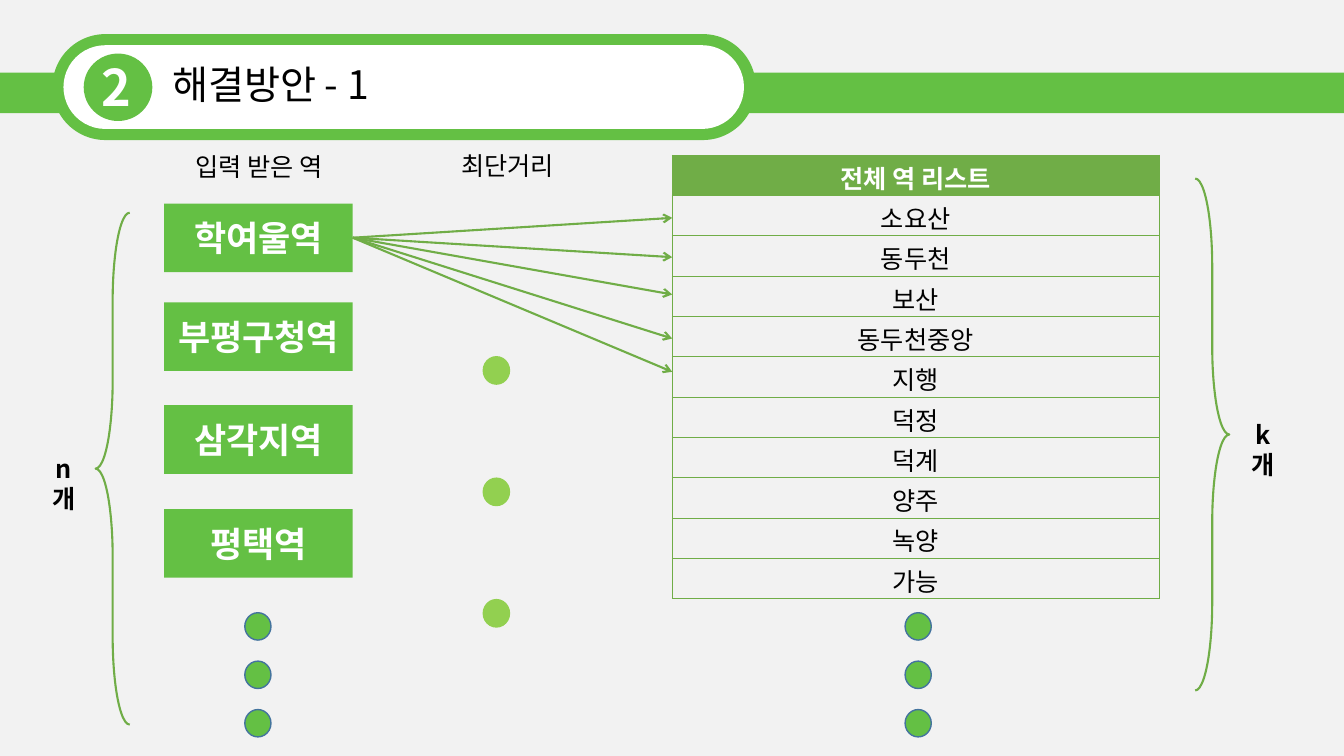
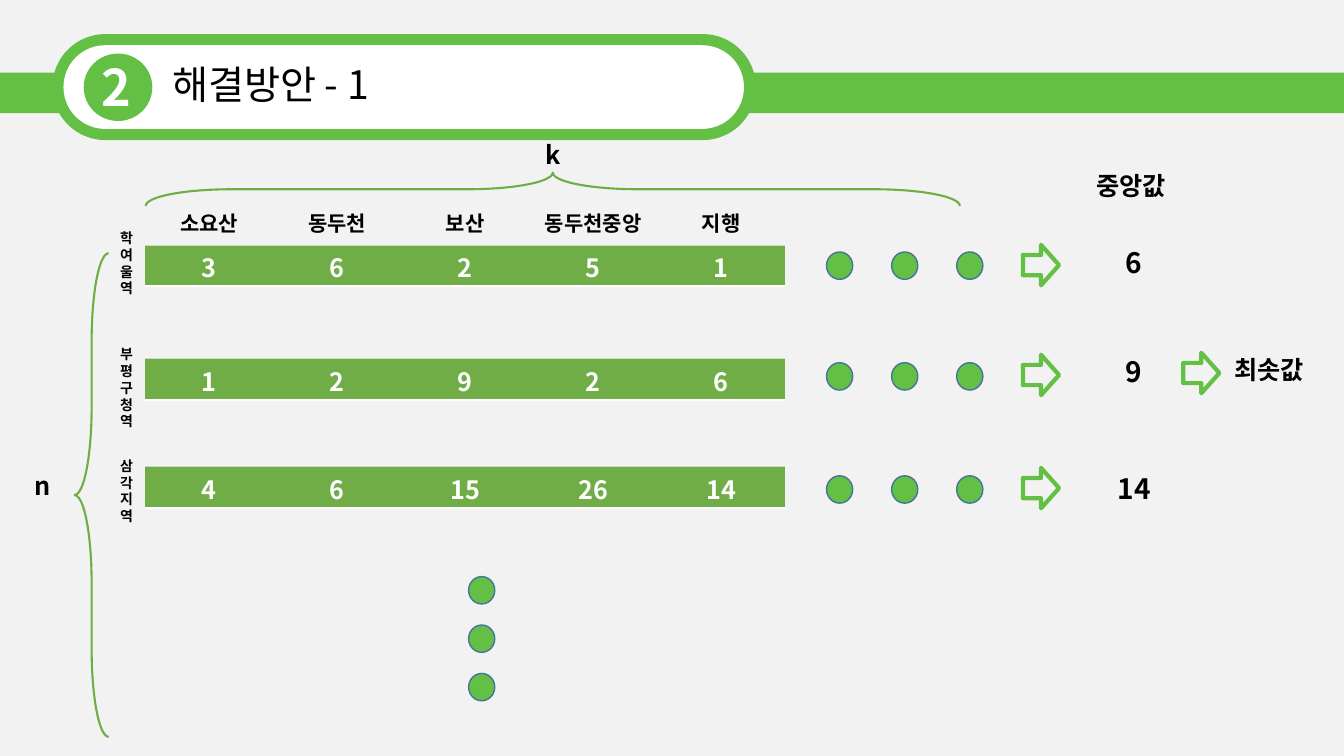
from dataclasses import dataclass

from lxml.etree import SubElement
from pptx import Presentation
from pptx.dml.color import RGBColor as Color
from pptx.enum.shapes import MSO_CONNECTOR as Connector, MSO_SHAPE as Shape
from pptx.enum.text import MSO_ANCHOR as Anchor, PP_ALIGN as Align
from pptx.oxml.ns import qn
from pptx.util import Cm, Pt


@dataclass(frozen=True)
class Theme:
    font: str = "Noto Sans CJK KR"
    page: Color = Color.from_string("F2F2F2")
    green: Color = Color.from_string("64C044")
    leaf: Color = Color.from_string("70AD47")
    lime: Color = Color.from_string("92D050")
    mist: Color = Color.from_string("C9DBC1")
    blue: Color = Color.from_string("43739E")
    white: Color = Color.from_string("FFFFFF")
    black: Color = Color.from_string("000000")
    number: int = 36
    title: int = 28
    station: int = 25
    value: int = 20
    body: int = 18
    heading: int = 15
    small: int = 10
    leading: float = 1.2


theme = Theme()


def write(frame, text, size, color=theme.black, bold=True, align=Align.CENTER):
    frame.word_wrap = True
    for index, line in enumerate(text.split("\n")):
        para = frame.add_paragraph() if index else frame.paragraphs[0]
        para.alignment = align
        para.line_spacing = Pt(size * theme.leading)
        span = para.add_run()
        span.text = line
        for name, value in {"name": theme.font, "size": Pt(size), "bold": bold}.items():
            setattr(span.font, name, value)
        span.font.color.rgb = color
        SubElement(span._r.get_or_add_rPr(), qn("a:ea"), typeface=theme.font)


def draw(page, kind, at, fill=None, line=None, width=1):
    box = page.shapes.add_shape(kind, *map(Cm, at))
    box.shadow.inherit = False
    if fill is None:
        box.fill.background()
    else:
        box.fill.solid()
        box.fill.fore_color.rgb = fill
    if line is None:
        box.line.fill.background()
    else:
        box.line.color.rgb = line
        box.line.width = Pt(width)
    return box


deck = Presentation()
deck.slide_width, deck.slide_height = Cm(33.87), Cm(19.05)
background = deck.slide_master.background.fill
background.solid()
background.fore_color.rgb = theme.page
search, result = [deck.slides.add_slide(deck.slide_layouts[6]) for _ in range(2)]

labels = []
for page in (search, result):
    draw(page, Shape.RECTANGLE, (0, 1.83, 33.87, 1.02), theme.green)
    for at, fill in (
        ((1.32, 0.86, 17.73, 2.67), theme.green),
        ((1.6, 1.14, 17.15, 2.11), theme.white),
    ):
        draw(page, Shape.ROUNDED_RECTANGLE, at, fill).adjustments[0] = 0.5
    draw(page, Shape.OVAL, (2.11, 1.35, 1.73, 1.7), theme.green)
    labels += [
        (page, (4.09, 1.4, 12.04, 1.45), "해결방안 - 1", theme.title, theme.black, False, Align.LEFT),
        (page, (2.31, 1.3, 1.37, 1.8), "2", theme.number, theme.white, True, Align.LEFT),
    ]

for name, top in (("학여울역", 5.13), ("부평구청역", 7.62), ("삼각지역", 10.21), ("평택역", 12.83)):
    station = draw(search, Shape.RECTANGLE, (4.14, top, 4.75, 1.73), theme.green)
    station.text_frame.vertical_anchor = Anchor.MIDDLE
    write(station.text_frame, name, theme.station, theme.white)

for end in (5.49, 6.48, 7.42, 8.53, 9.37):
    arrow = search.shapes.add_connector(
        Connector.STRAIGHT, Cm(8.89), Cm(5.99), Cm(16.94), Cm(end)
    )
    arrow.line.color.rgb = theme.leaf
    arrow.line.width = Pt(1.5)
    SubElement(arrow.line._get_or_add_ln(), qn("a:tailEnd"), type="arrow")
    SubElement(arrow._element.spPr, qn("a:effectLst"))

for page, left, top, gap, fill, line in (
    (search, 6.17, 15.44, 1.22, theme.green, theme.blue),
    (search, 22.81, 15.44, 1.22, theme.green, theme.blue),
    (search, 12.18, 8.99, 3.06, theme.lime, theme.lime),
    (result, 11.81, 14.53, 1.22, theme.green, theme.blue),
):
    for step in range(3):
        draw(page, Shape.OVAL, (left, top + step * gap, 0.66, 0.69), fill, line)

for page, kind, at, turn in (
    (search, Shape.LEFT_BRACE, (2.41, 5.36, 0.86, 12.9), 0),
    (search, Shape.RIGHT_BRACE, (30.12, 4.5, 0.86, 12.9), 0),
    (result, Shape.LEFT_BRACE, (1.88, 6.38, 0.86, 12.19), 0),
    (result, Shape.LEFT_BRACE, (13.51, -5.49, 0.84, 20.52), 90),
):
    brace = draw(page, kind, at, line=theme.leaf, width=1.5)
    brace.adjustments[0] = 2.568
    brace.rotation = turn

stations = ["소요산", "동두천", "보산", "동두천중앙", "지행", "덕정", "덕계", "양주", "녹양", "가능"]
grid = dict.fromkeys("LRTB", (theme.leaf, 0.5))
strip = {"T": (theme.mist, 0.5), "B": (theme.white, 1.5)}
tables = [
    (search, (16.94, 3.91, 12.27, 11.18), [["전체 역 리스트"]] + [[name] for name in stations],
     theme.body, grid, True),
    (result, (3.66, 5.11, 16.13, 1.04), [stations[:5]], theme.heading, {}, False),
]

for name, name_top, table_top, dot_top, arrow_top, value_top, distances, median in (
    ("학여울역", 5.66, 6.17, 6.35, 6.17, 6.07, "3 6 2 5 1", "6"),
    ("부평구청역", 8.59, 9.04, 9.14, 8.94, 8.81, "1 2 9 2 6", "9"),
    ("삼각지역", 11.4, 11.76, 11.99, 11.79, 11.76, "4 6 15 26 14", "14"),
):
    tables.append(
        (result, (3.66, table_top, 16.13, 1.04), [distances.split()], theme.body, strip, True)
    )
    for step in range(3):
        draw(result, Shape.OVAL, (20.83 + step * 1.64, dot_top, 0.66, 0.69), theme.green, theme.blue)
    draw(result, Shape.RIGHT_ARROW, (25.78, arrow_top, 0.91, 1.02), line=theme.green, width=3)
    labels += [
        (result, (1.73, name_top, 2.92, 0.25 + 0.43 * len(name)), "\n".join(name), theme.small),
        (result, (27.46, value_top, 2.24, 1.12), median, theme.value),
    ]
draw(result, Shape.RIGHT_ARROW, (29.82, 8.89, 0.91, 1.02), line=theme.green, width=3)

for page, at, rows, size, borders, header in tables:
    table = page.shapes.add_table(len(rows), len(rows[0]), *map(Cm, at)).table
    table.first_row = table.horz_banding = False
    for row_index, row in enumerate(rows):
        for column_index, text in enumerate(row):
            cell = table.cell(row_index, column_index)
            filled = header and row_index == 0
            bold = row_index == 0
            margins = {"margin_top": Cm(0.25), "margin_bottom": 0}
            for name, value in margins.items():
                setattr(cell, name, value)
            write(cell.text_frame, text, size, theme.white if filled else theme.black, bold)
            for side in "LRTB":
                color, width = borders.get(side, (None, 0))
                edge = SubElement(
                    cell._tc.get_or_add_tcPr(), qn(f"a:ln{side}"), w=str(int(Pt(width)))
                )
                if color is None:
                    SubElement(edge, qn("a:noFill"))
                else:
                    paint = SubElement(edge, qn("a:solidFill"))
                    SubElement(paint, qn("a:srgbClr"), val=str(color))
            if filled:
                cell.fill.solid()
                cell.fill.fore_color.rgb = theme.leaf
            else:
                cell.fill.background()

labels += [
    (search, (0.81, 11.3, 1.6, 1.8), "n\n개", theme.body),
    (search, (31.04, 10.44, 1.6, 1.8), "k\n개", theme.body),
    (search, (11.38, 3.66, 3.3, 1.02), "최단거리", theme.body, theme.black, False, Align.LEFT),
    (search, (4.67, 3.68, 4.75, 1.02), "입력 받은 역", theme.body, theme.black, False, Align.LEFT),
    (result, (0.28, 11.73, 1.6, 1.02), "n", theme.body),
    (result, (13.13, 3.38, 1.6, 1.02), "k", theme.body),
    (result, (27.05, 4.17, 2.92, 1.02), "중앙값", theme.body),
    (result, (30.53, 8.81, 2.92, 1.02), "최솟값", theme.body),
]
for page, at, text, size, *style in labels:
    write(page.shapes.add_textbox(*map(Cm, at)).text_frame, text, size, *style)

deck.save("out.pptx")
